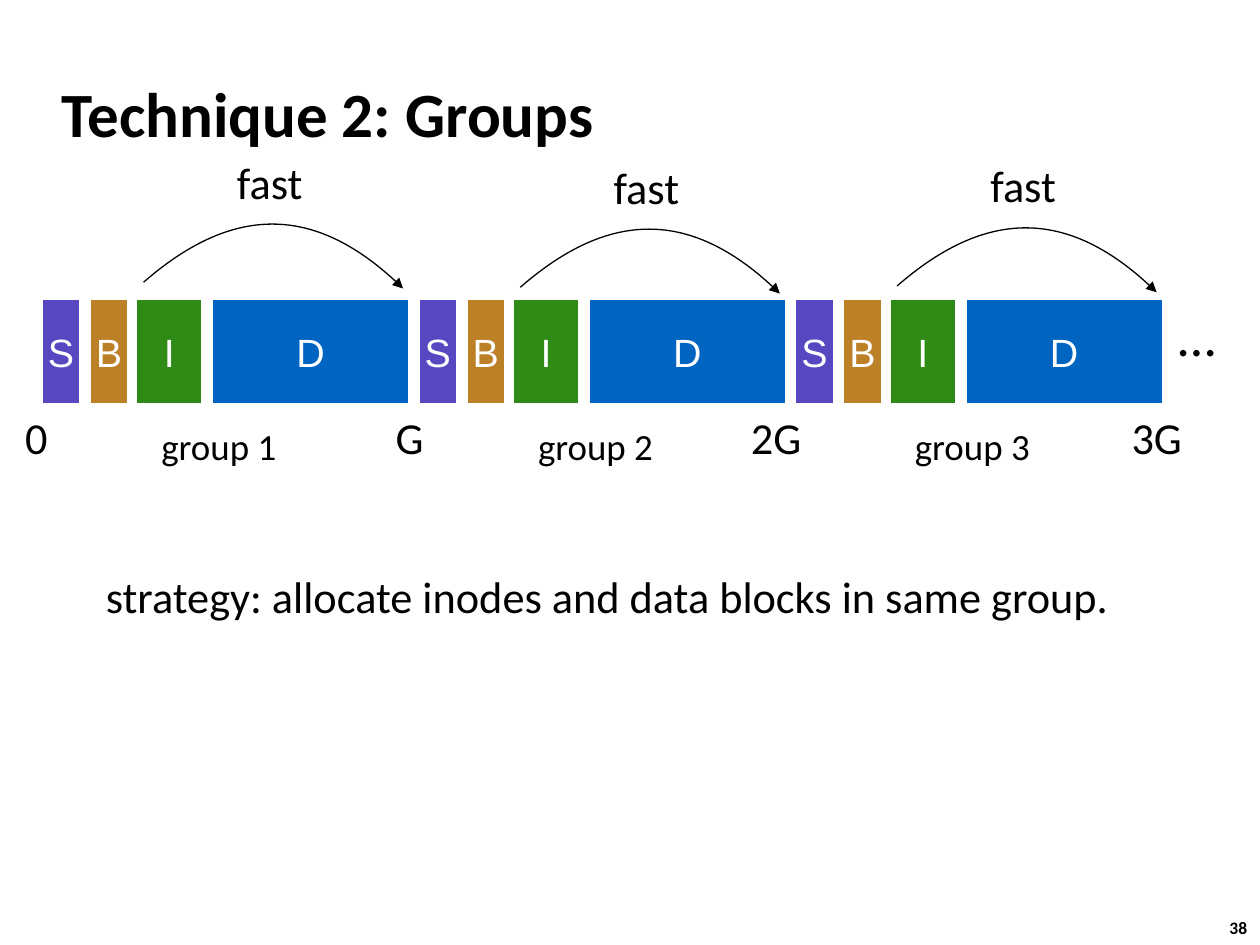
from lxml import etree
from pptx import Presentation
from pptx.dml.color import RGBColor
from pptx.enum.shapes import MSO_SHAPE
from pptx.enum.text import MSO_ANCHOR, MSO_AUTO_SIZE, PP_ALIGN
from pptx.oxml.ns import qn
from pptx.util import Inches, Pt

RECTANGLE = MSO_SHAPE.RECTANGLE
MIDDLE = MSO_ANCHOR.MIDDLE
FIT_SHAPE = MSO_AUTO_SIZE.SHAPE_TO_FIT_TEXT
LEFT, CENTER = PP_ALIGN.LEFT, PP_ALIGN.CENTER
BLACK, WHITE = "000000", "FFFFFF"

GROUP_LEFT, GROUP_PITCH = 0.32, 2.99
ARROW_LEFT, ARROW_PITCH = 1.14, 2.99
BLOCK_TOP, BLOCK_HEIGHT = 2.36, 0.86
# letter, offset inside the group, width, fill
BLOCKS = [
    ("S", 0, 0.33, "5747C1"),
    ("B", 0.38, 0.33, "BC8027"),
    ("I", 0.75, 0.55, "308B16"),
    ("D", 1.35, 1.59, "0065C1"),
]
ARROW_TOPS = [1.78, 1.82, 1.81]
# text, left, width
BOUNDARIES = [("0", 0.16, 0.28), ("G", 3.1, 0.33), ("2G", 5.92, 0.52), ("3G", 8.94, 0.52)]


def color(value):
    return RGBColor.from_string(value)


def write(shape, text, size, font="Calibri", fill=BLACK, bold=False,
          align=LEFT, inset=0.04, wrap=False):
    """Put one formatted paragraph, centred vertically, into a shape."""
    frame = shape.text_frame
    frame.word_wrap = wrap
    frame.vertical_anchor = MIDDLE
    frame.margin_left = frame.margin_right = Inches(inset)
    frame.margin_top = frame.margin_bottom = Inches(min(inset, 0.05))
    paragraph = frame.paragraphs[0]
    paragraph.alignment = align
    run = paragraph.add_run()
    run.text = text
    run.font.name = font
    run.font.size = Pt(size)
    run.font.bold = bold
    run.font.color.rgb = color(fill)


class SlideBuilder:
    label_size = 25.3
    block_size = 22.5

    def __init__(self, presentation):
        self.slide = presentation.slides.add_slide(presentation.slide_layouts[5])
        self.shapes = self.slide.shapes

    def title(self, text, left, top, width, height):
        title = self.shapes.title
        title.left, title.top = Inches(left), Inches(top)
        title.width, title.height = Inches(width), Inches(height)
        write(title, text, 36, bold=True, inset=0.1, wrap=True)

    def label(self, text, left, top, width, height=0.5, size=label_size, **style):
        box = self.shapes.add_textbox(Inches(left), Inches(top), Inches(width), Inches(height))
        write(box, text, size, **style)
        box.text_frame.auto_size = FIT_SHAPE

    def block_group(self, left):
        group = self.shapes.add_group_shape()
        for letter, offset, width, fill in BLOCKS:
            block = group.shapes.add_shape(
                RECTANGLE, Inches(left + offset), Inches(BLOCK_TOP),
                Inches(width), Inches(BLOCK_HEIGHT))
            block.shadow.inherit = False
            block.fill.solid()
            block.fill.fore_color.rgb = color(fill)
            block.line.color.rgb = color(WHITE)
            block.line.width = Pt(3)
            write(block, letter, self.block_size, font="Arial", fill=WHITE,
                  align=CENTER, inset=0, wrap=True)

    def curved_arrow(self, left, top):
        """Draw a cubic arc whose box starts at left, top, with a head at its right end."""
        builder = self.shapes.build_freeform(Inches(left), Inches(top + 0.46))
        builder.add_line_segments(
            [(Inches(left + 1.03), Inches(top)), (Inches(left + 2.06), Inches(top + 0.51))],
            close=False)
        arrow = builder.convert_to_shape()
        arrow.shadow.inherit = False
        arrow.fill.background()
        arrow.line.color.rgb = color(BLACK)
        arrow.line.width = Pt(0.75)
        outline = next(arrow.element.iter(qn("a:path")))
        for segment in outline.findall(qn("a:lnTo")):
            outline.remove(segment)
        curve = etree.SubElement(outline, qn("a:cubicBezTo"))
        for x, y in [(0.71, -0.16), (1.39, -0.15), (2.06, 0.51)]:
            etree.SubElement(curve, qn("a:pt"), x=str(Inches(x)), y=str(Inches(y)))
        line = arrow.element.spPr.find(qn("a:ln"))
        etree.SubElement(line, qn("a:tailEnd"), type="triangle")


def main():
    presentation = Presentation()
    presentation.slide_width, presentation.slide_height = Inches(10), Inches(7.5)
    builder = SlideBuilder(presentation)

    builder.title("Technique 2: Groups", 0.39, 0.48, 8.3, 0.83)
    for index, arrow_top in enumerate(ARROW_TOPS):
        left = GROUP_LEFT + index * GROUP_PITCH
        arrow_left = ARROW_LEFT + index * ARROW_PITCH
        builder.block_group(left)
        builder.label(f"group {index + 1}", left + 0.92, 3.32, 1.02, 0.43, size=21.1)
        builder.curved_arrow(arrow_left, arrow_top)
        builder.label("fast", arrow_left + 0.7, arrow_top - 0.59, 0.64)
    for text, left, width in BOUNDARIES:
        builder.label(text, left, BLOCK_TOP + BLOCK_HEIGHT, width)
    builder.label("…", 9.31, 2.36, 0.38, 0.6, size=30.9)
    builder.label("strategy: allocate inodes and data blocks in same group.", 0.8, 4.48, 8.11)
    builder.label("38", 9.66, 7.23, 0.37, 0.27, size=10, bold=True, inset=0.1)

    presentation.save("out.pptx")


if __name__ == "__main__":
    main()
